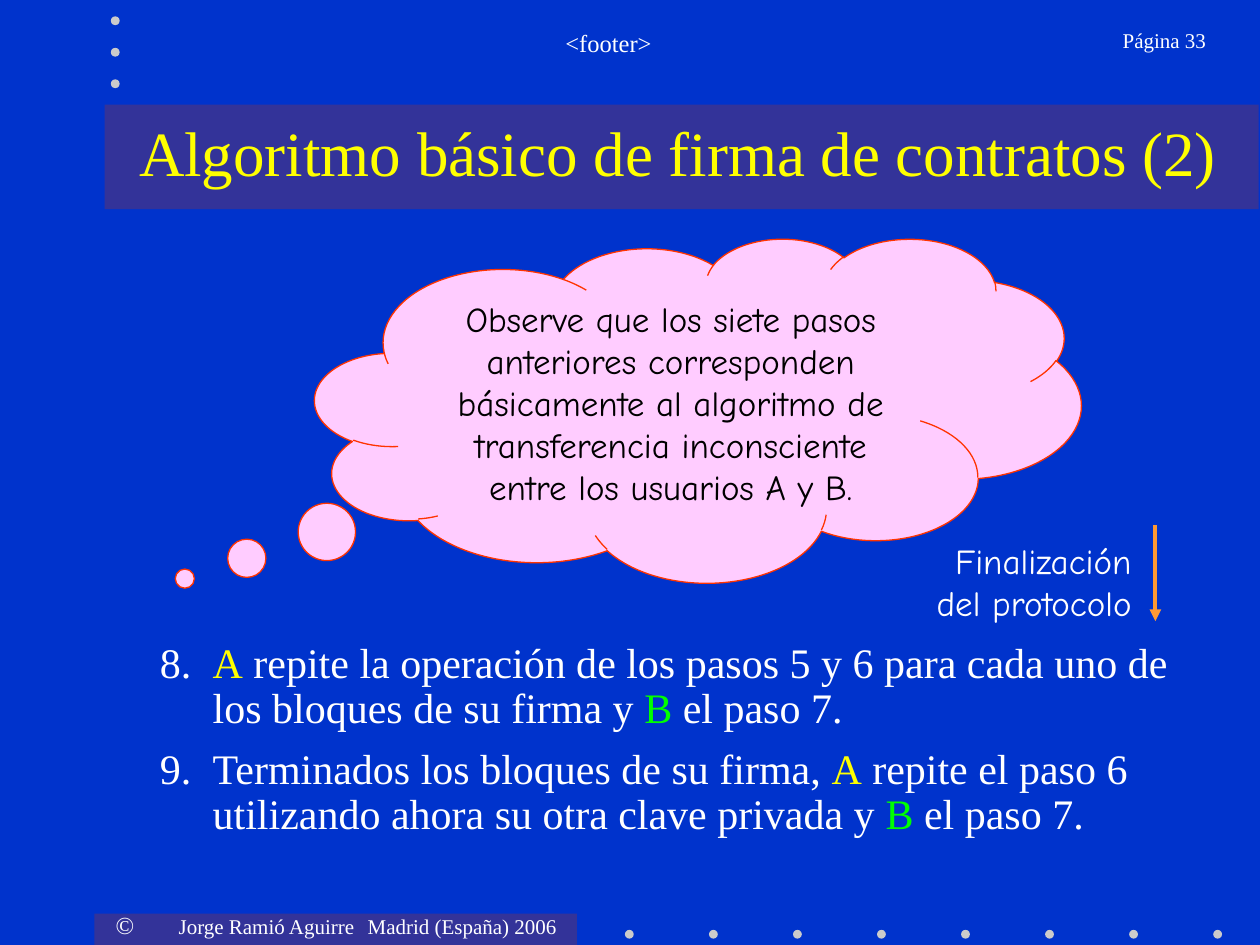
import pptx
import pptx.dml.color
import pptx.enum.shapes
import pptx.enum.text
import pptx.oxml.ns
import pptx.util
from lxml import etree

Inches = pptx.util.Inches
Pt = pptx.util.Pt
KIND = pptx.enum.shapes.MSO_SHAPE
ALIGN = pptx.enum.text.PP_ALIGN
MID = pptx.enum.text.MSO_ANCHOR.MIDDLE
SERIF, HAND = "Times New Roman", "Comic Neue"
WHITE, YELLOW, GREEN = "FFFFFF", "FFFF00", "00FF00"
BLUE, BAND, GREY = "0033CC", "333399", "CBCBCB"


def tint(color, code):
    color.rgb = pptx.dml.color.RGBColor.from_string(code)


def sub(parent, tag, **attrs):
    return etree.SubElement(parent, pptx.oxml.ns.qn(tag), **attrs)


def style(run, size, code, font):
    run.font.size, run.font.name = Pt(size), font
    tint(run.font.color, code)


def fill_text(shape, text, size, code, font=SERIF, align=ALIGN.LEFT, before=0):
    frame = shape.text_frame
    frame.text = text
    frame.word_wrap = True
    para = frame.paragraphs[0]
    para.alignment, para.space_before = align, Pt(before)
    style(para.runs[0], size, code, font)
    return para


def add_text(slide, box, *args, **opts):
    area = slide.shapes.add_textbox(*map(Inches, box))
    return fill_text(area, *args, **opts)


def add_shape(slide, kind, box, code, edge=None):
    shape = slide.shapes.add_shape(kind, *map(Inches, box))
    shape.shadow.inherit = False
    shape.fill.solid()
    tint(shape.fill.fore_color, code)
    if edge:
        tint(shape.line.color, edge)
        shape.line.width = Pt(0.75)
    else:
        shape.line.fill.background()
    return shape


def add_dots(slide, left, top, across, down, count):
    for i in range(count):
        spot = (left + i * across, top + i * down, 0.07, 0.07)
        add_shape(slide, KIND.OVAL, spot, GREY)


def add_arrow(slide, start, end, code):
    kind = pptx.enum.shapes.MSO_CONNECTOR.STRAIGHT
    arrow = slide.shapes.add_connector(kind, *map(Inches, start + end))
    arrow.line.width = Pt(2.25)
    tint(arrow.line.color, code)
    sub(arrow.line._get_or_add_ln(), "a:tailEnd", type="triangle")
    sub(arrow.element.spPr, "a:effectLst")


def add_steps(slide, box, steps):
    frame = slide.shapes.add_textbox(*map(Inches, box)).text_frame
    frame.word_wrap, frame.vertical_anchor = True, MID
    for i, parts in enumerate(steps):
        para = frame.add_paragraph() if i else frame.paragraphs[0]
        para.line_spacing, para.space_before = 0.9, Pt(9)
        props = para._p.get_or_add_pPr()
        props.set("marL", str(Inches(0.42)))
        props.set("indent", str(Inches(-0.42)))
        for text in parts:
            run = para.add_run()
            run.text = text
            # Each user keeps one colour throughout
            code = {"A": YELLOW, "B": GREEN}.get(text, WHITE)
            style(run, 24, code, SERIF)


def add_credit(slide):
    text = "©\tJorge Ramió Aguirre\tMadrid (España) 2006"
    para = add_text(slide, (0.72, 7.17, 3.95, 0.34), text, 12, WHITE, before=7.5)
    para.runs[0].text = "©"
    para.runs[0].font.size = Pt(14)
    rest = para.add_run()
    rest.text = text[1:]
    style(rest, 12, WHITE, SERIF)
    props = para._p.get_or_add_pPr()
    props.set("marL", str(Inches(0.1)))
    props.set("indent", "0")
    tabs = sub(props, "a:tabLst")
    for stop in (0.33, 2.14):
        sub(tabs, "a:tab", pos=str(Inches(stop)), algn="l")


def add_title(slide, text):
    title = slide.shapes.title
    title.left, title.top = Inches(0.92), Inches(0.83)
    title.width, title.height = Inches(8.92), Inches(0.75)
    fill_text(title, text, 36, YELLOW, align=ALIGN.CENTER)
    title.text_frame.vertical_anchor = MID
    # Bring the title in front of its band
    title.element.getparent().append(title.element)


def main():
    deck = pptx.Presentation()
    deck.slide_width, deck.slide_height = Inches(10), Inches(7.5)
    slide = deck.slides.add_slide(deck.slide_layouts[5])
    slide.background.fill.solid()
    tint(slide.background.fill.fore_color, BLUE)

    # Bands and dots
    add_shape(slide, KIND.RECTANGLE, (0.75, 7.25, 3.83, 0.25), BAND)
    add_dots(slide, 4.96, 7.38, 0.667, 0, 8)
    add_shape(slide, KIND.RECTANGLE, (0.83, 0.83, 9.16, 0.83), BAND)
    add_dots(slide, 0.88, 0.13, 0, 0.25, 3)

    # Header and footer
    add_credit(slide)
    add_text(slide, (1.58, 0.17, 6.5, 0.5), "<footer>", 14, WHITE,
             align=ALIGN.CENTER, before=8.8)
    add_text(slide, (8.3, 0.17, 1.37, 0.5), "Página 33", 12, WHITE,
             align=ALIGN.RIGHT, before=7.5)

    # Remark in the cloud
    cloud = add_shape(slide, KIND.CLOUD_CALLOUT, (2.5, 1.89, 6.08, 2.73),
                      "FFCCFF", "FF3300")
    cloud.adjustments[0], cloud.adjustments[1] = -0.67, 0.49
    cloud.text_frame.vertical_anchor = MID
    fill_text(cloud, "Observe que los siete pasos anteriores corresponden "
              "básicamente al algoritmo de transferencia inconsciente "
              "entre los usuarios A y B.", 20, "000000", HAND, ALIGN.CENTER)

    # Last steps of the protocol
    add_steps(slide, (1.17, 5, 8.33, 1.75), [
        ("8.\t", "A", " repite la operación de los pasos 5 y 6 para cada uno "
         "de los bloques de su firma y ", "B", " el paso 7."),
        ("9.\tTerminados los bloques de su firma, ", "A", " repite el paso 6 "
         "utilizando ahora su otra clave privada y ", "B", " el paso 7."),
    ])
    add_title(slide, "Algoritmo básico de firma de contratos (2)")
    add_text(slide, (7.08, 4.23, 2, 0.77), "Finalización del protocolo", 20,
             WHITE, HAND, ALIGN.RIGHT, 12.5)
    add_arrow(slide, (9.17, 4.17), (9.17, 4.93), "FF9933")

    deck.save("out.pptx")


if __name__ == "__main__":
    main()
